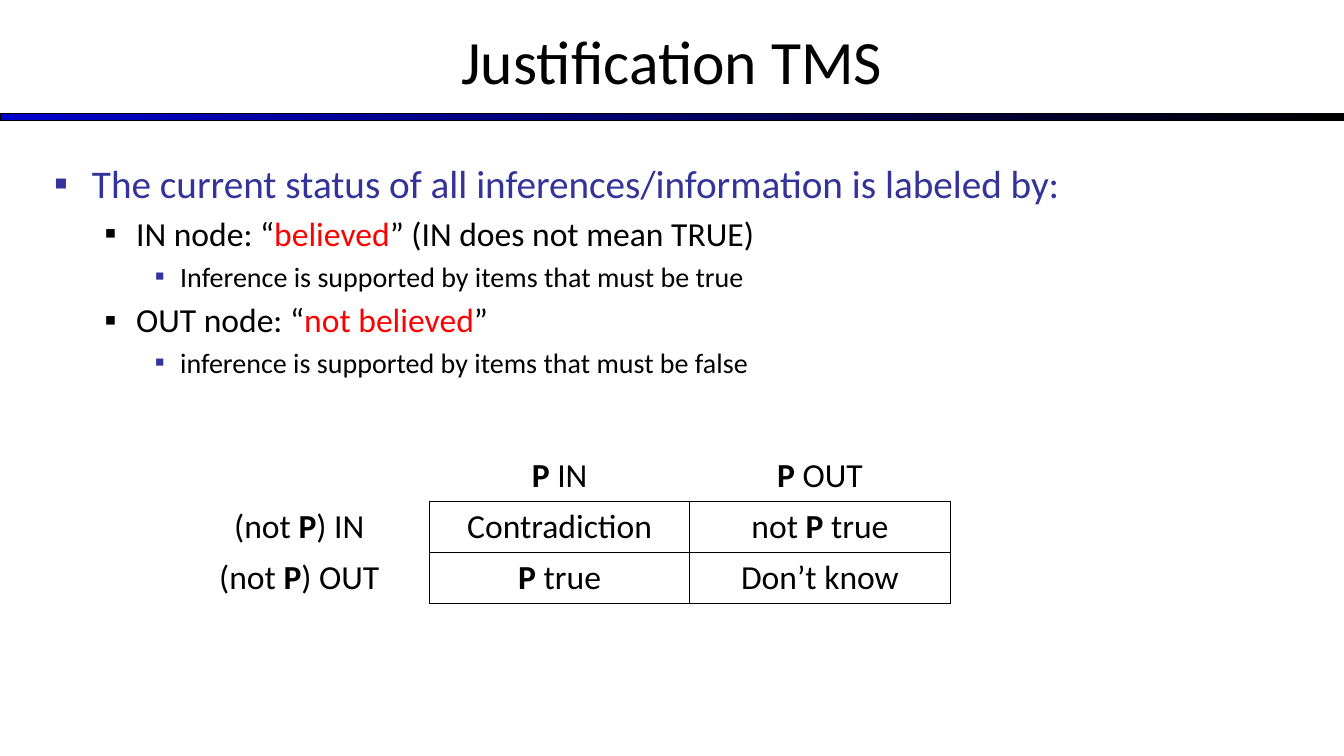
from lxml import etree
from pptx import Presentation
from pptx.dml.color import RGBColor
from pptx.enum.shapes import MSO_SHAPE
from pptx.enum.text import MSO_ANCHOR, MSO_AUTO_SIZE, PP_ALIGN
from pptx.oxml.ns import qn
from pptx.util import Pt

PX = 9525
RECTANGLE = MSO_SHAPE.RECTANGLE
TOP, MIDDLE = MSO_ANCHOR.TOP, MSO_ANCHOR.MIDDLE
CENTER, LEFT = PP_ALIGN.CENTER, PP_ALIGN.LEFT
NO_AUTOFIT = MSO_AUTO_SIZE.NONE

FONT = "Calibri"
BLACK, INDIGO, RED, BLUE = "000000", "333399", "FF0000", "0000CC"

# Per outline level: size, text colour, bullet colour, text indent, hanging
LEVELS = [
    (28, INDIGO, INDIGO, 36, 36),
    (24, BLACK, BLACK, 78, 30),
    (20, BLACK, INDIGO, 120, 24),
]
# Asterisks enclose emphasised words
STATUS_LABELS = [
    (0, "The current status of all inferences/information is labeled by:"),
    (1, "IN node: “*believed*” (IN does not mean TRUE)"),
    (2, "Inference is supported by items that must be true"),
    (1, "OUT node: “*not believed*”"),
    (2, "inference is supported by items that must be false"),
]
BELIEF_GRID = [
    ["", "*P* IN", "*P* OUT"],
    ["(not *P*) IN", "Contradiction", "not *P* true"],
    ["(not *P*) OUT", "*P* true", "Don’t know"],
]


def px(length):
    return length * PX


def rgb(hex_color):
    return RGBColor.from_string(hex_color)


def place(shape, box):
    shape.left, shape.top, shape.width, shape.height = map(px, box)


def set_font(paragraph, size, color):
    font = paragraph.font
    font.name, font.size = FONT, Pt(size)
    font.color.rgb = rgb(color)


def add_marked_text(paragraph, text, emphasise):
    for index, part in enumerate(text.split("*")):
        if part:
            run = paragraph.add_run()
            run.text = part
            if index % 2:
                emphasise(run.font)


def make_red(font):
    font.color.rgb = rgb(RED)


def make_bold(font):
    font.bold = True


def add_bullet(paragraph, color, indent, hanging):
    properties = paragraph._p.get_or_add_pPr()
    properties.set("marL", str(px(indent)))
    properties.set("indent", str(-px(hanging)))
    bullet_color = etree.SubElement(properties, qn("a:buClr"))
    etree.SubElement(bullet_color, qn("a:srgbClr"), val=color)
    etree.SubElement(properties, qn("a:buFont"), typeface=FONT)
    etree.SubElement(properties, qn("a:buChar"), char="▪")


def set_border(cell, side, visible):
    properties = cell._tc.get_or_add_tcPr()
    line = etree.SubElement(properties, qn("a:ln" + side), w=str(Pt(1)))
    if visible:
        fill = etree.SubElement(line, qn("a:solidFill"))
        etree.SubElement(fill, qn("a:srgbClr"), val=BLACK)
    else:
        etree.SubElement(line, qn("a:noFill"))


def add_header(slide, box):
    left, top, width, height = box
    # Gradient rule near the foot of the header
    rule = slide.shapes.add_shape(
        RECTANGLE, px(left), px(top + height - 9), px(width), px(7))
    rule.shadow.inherit = False
    rule.fill.gradient()
    rule.fill.gradient_angle = 0
    for stop, color in zip(rule.fill.gradient_stops, (BLUE, BLACK)):
        stop.color.rgb = rgb(color)
    rule.line.color.rgb = rgb(BLACK)
    rule.line.width = Pt(0.75)

    # Title
    title = slide.shapes.title
    place(title, box)
    frame = title.text_frame
    frame.auto_size = NO_AUTOFIT
    frame.vertical_anchor = MIDDLE
    frame.text = "Justification TMS"
    heading = frame.paragraphs[0]
    heading.alignment = CENTER
    set_font(heading, 44, BLACK)


def add_status_list(slide, box):
    body = slide.placeholders[1]
    place(body, box)
    frame = body.text_frame
    frame.auto_size = NO_AUTOFIT
    frame.vertical_anchor = TOP
    for index, (level, text) in enumerate(STATUS_LABELS):
        size, color, bullet_color, indent, hanging = LEVELS[level]
        item = frame.add_paragraph() if index else frame.paragraphs[0]
        item.level = level
        item.alignment = LEFT
        item.line_spacing = 1.0
        item.space_before = Pt(size * 0.2 if index else 0)
        add_bullet(item, bullet_color, indent, hanging)
        set_font(item, size, color)
        add_marked_text(item, text, make_red)


def add_belief_table(slide, box):
    frame = slide.shapes.add_table(
        len(BELIEF_GRID), len(BELIEF_GRID[0]), *map(px, box))
    table = frame.table
    table.first_row = table.horz_banding = False
    for r, labels in enumerate(BELIEF_GRID):
        for c, label in enumerate(labels):
            cell = table.cell(r, c)
            cell.vertical_anchor = MIDDLE
            # Only the cells beside or inside the result grid have lines
            inside = r > 0 and c > 0
            for side, visible in zip("LRTB", (inside, r > 0, inside, c > 0)):
                set_border(cell, side, visible)
            cell.fill.background()
            entry = cell.text_frame.paragraphs[0]
            entry.alignment = CENTER
            set_font(entry, 24, BLACK)
            add_marked_text(entry, label, make_bold)


def main():
    deck = Presentation()
    deck.slide_width, deck.slide_height = px(1280), px(720)
    slide = deck.slides.add_slide(deck.slide_layouts[1])
    add_header(slide, (0, -3, 1280, 120))
    add_status_list(slide, (42, 147, 1200, 547))
    add_belief_table(slide, (161, 429, 744, 144))
    deck.save("out.pptx")


if __name__ == "__main__":
    main()
